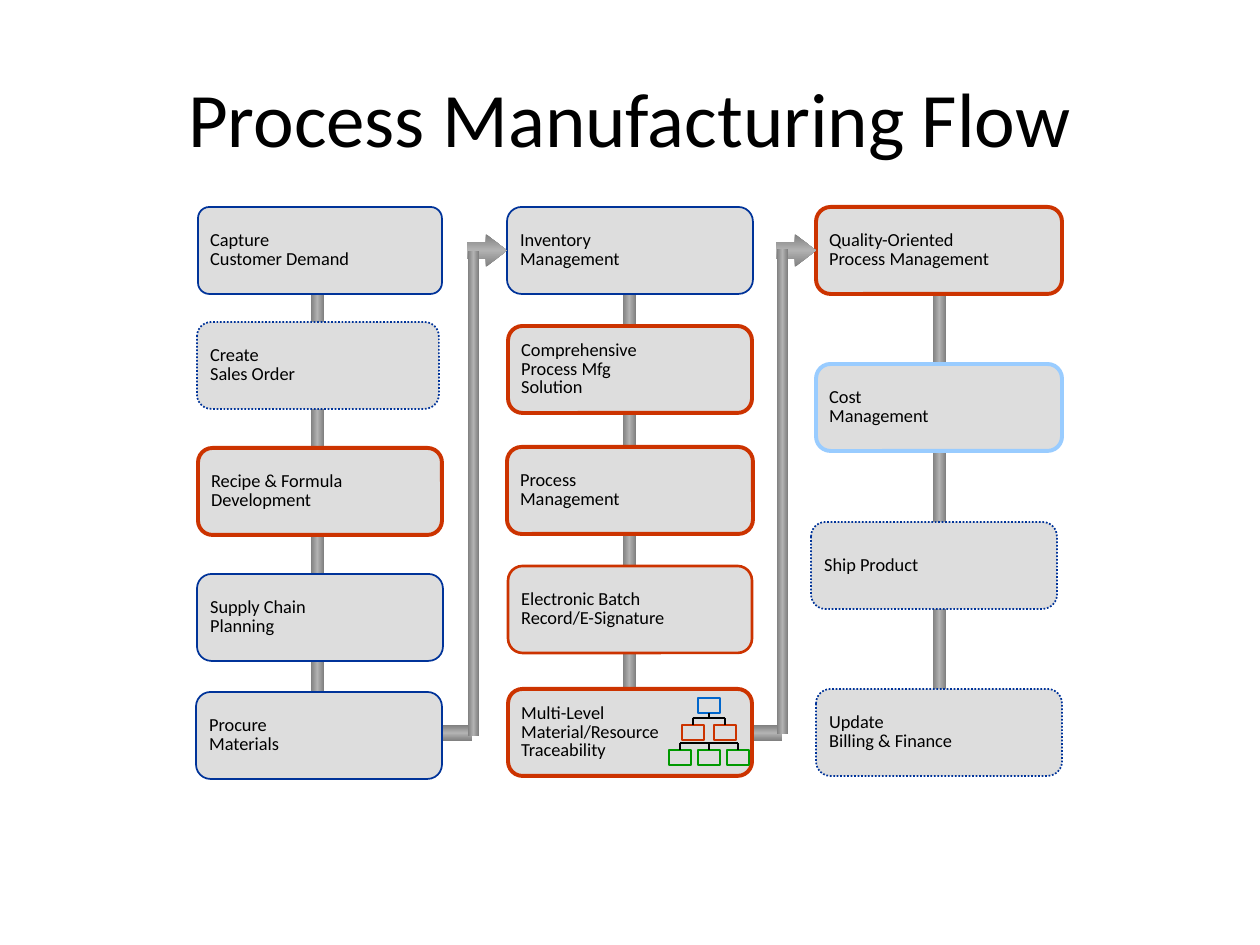
from copy import deepcopy

from lxml import etree
from pptx import Presentation
from pptx.dml.color import RGBColor
from pptx.enum.dml import MSO_LINE
from pptx.enum.shapes import MSO_CONNECTOR, MSO_SHAPE
from pptx.enum.text import MSO_ANCHOR, PP_ALIGN
from pptx.oxml.ns import qn
from pptx.util import Pt

RECT, ROUND = MSO_SHAPE.RECTANGLE, MSO_SHAPE.ROUNDED_RECTANGLE
ARROW, LINE = MSO_SHAPE.RIGHT_ARROW, MSO_CONNECTOR.STRAIGHT
MIDDLE, CENTER, LEFT = MSO_ANCHOR.MIDDLE, PP_ALIGN.CENTER, PP_ALIGN.LEFT
SOLID, DOTS = MSO_LINE.SOLID, MSO_LINE.ROUND_DOT
TOP, BOTTOM = 0, 2

BLACK = RGBColor(0x00, 0x00, 0x00)
PALE = RGBColor(0xDD, 0xDD, 0xDD)
DARK = RGBColor(0x7F, 0x7F, 0x7F)
LIGHT = RGBColor(0xB2, 0xB2, 0xB2)
NAVY = RGBColor(0x00, 0x33, 0x99)
RED = RGBColor(0xCC, 0x33, 0x00)
SKY = RGBColor(0x99, 0xCC, 0xFF)
BLUE = RGBColor(0x00, 0x66, 0xCC)
GREEN = RGBColor(0x00, 0x99, 0x00)

SCALE = 914400 / 126
FONT = "Calibri"
STEP_H = 87

# Outline styles: colour, points, dash
PLAIN = (NAVY, 1, SOLID)
DOTTED = (NAVY, 1, DOTS)
BOLD = (RED, 2.25, SOLID)
MEDIUM = (RED, 1.5, SOLID)
COST = (SKY, 2.25, SOLID)

# Steps: left, top, width, outline, text (\v breaks a line, \n a paragraph)
STEPS = [
    (198, 207, 244, PLAIN, "Capture\nCustomer Demand"),
    (197, 322, 242, DOTTED, "Create\nSales Order"),
    (198, 448, 244, BOLD, "Recipe & Formula\vDevelopment"),
    (197, 574, 246, PLAIN, "Supply Chain\vPlanning"),
    (196, 692, 246, PLAIN, "Procure\nMaterials"),
    (507, 207, 246, PLAIN, "Inventory\vManagement"),
    (508, 326, 244, BOLD, "Comprehensive\vProcess Mfg\vSolution"),
    (507, 447, 246, BOLD, "Process\vManagement"),
    (508, 566, 244, MEDIUM, "Electronic Batch\vRecord/E-Signature"),
    (508, 689, 244, BOLD, "Multi-Level\vMaterial/Resource\vTraceability"),
    (816, 207, 246, BOLD, "Quality-Oriented\vProcess Management"),
    (816, 364, 246, COST, "Cost\vManagement"),
    (811, 522, 246, DOTTED, "Ship Product"),
    (816, 689, 246, DOTTED, "Update\nBilling & Finance"),
]
SPINES = [(311, 280), (623, 272), (933, 272)]
# Links between columns: run left, riser left, riser top
LINKS = [(383, 467, 251), (693, 776, 249)]
# Tree tiers below the root: bus y, box top, box centres, colour
TIERS = [(718, 725, (693, 725), RED), (743, 750, (680, 709, 738), GREEN)]


def px(*vals):
    return [round(val * SCALE) for val in vals]


def set_all(item, vals):
    for key, val in vals.items():
        setattr(item, key, val)


def add_shape(slide, kind, left, top, width, height):
    shape = slide.shapes.add_shape(kind, *px(left, top, width, height))
    shape.shadow.inherit = False
    return shape


def add_box(slide, kind, area, color, points, dash=SOLID):
    box = add_shape(slide, kind, *area)
    box.fill.solid()
    box.fill.fore_color.rgb = PALE
    box.line.color.rgb = color
    set_all(box.line, {"width": Pt(points), "dash_style": dash})
    return box


def add_pipe(slide, kind, area, angle):
    pipe = add_shape(slide, kind, *area)
    pipe.line.fill.background()
    pipe.fill.gradient()
    pipe.fill.gradient_angle = angle
    stops = pipe._element.spPr.find(".//" + qn("a:gsLst"))
    stops.append(deepcopy(stops[0]))
    tones = [(0, DARK), (0.5, LIGHT), (1, DARK)]
    for stop, (pos, color) in zip(pipe.fill.gradient_stops, tones):
        stop.position = pos
        stop.color.rgb = color
    return pipe


def add_text(shape, text, size, align, wrap, gap):
    frame = shape.text_frame
    frame.text = text
    set_all(frame, {"word_wrap": wrap, "vertical_anchor": MIDDLE})
    for para in frame.paragraphs:
        set_all(para, {"alignment": align, "line_spacing": gap})
        set_all(para.font, {"name": FONT, "size": Pt(size)})
        para.font.color.rgb = BLACK
    return frame


def add_step(slide, left, top, width, style, text):
    step = add_box(slide, ROUND, (left, top, width, STEP_H), *style)
    frame = add_text(step, text, 10.5, LEFT, False, 0.85)
    side, edge = px(9, 5)
    set_all(frame, {"margin_left": side, "margin_right": side,
                    "margin_top": edge, "margin_bottom": edge})
    return step


def add_line(slide, x1, y1, x2, y2):
    line = slide.shapes.add_connector(LINE, *px(x1, y1, x2, y2))
    line.line.color.rgb = BLACK
    line.line.width = Pt(1)
    etree.SubElement(line._element.spPr, qn("a:effectLst"))
    return line


def add_node(slide, mid, top, color):
    return add_box(slide, RECT, (mid - 11, top, 22, 15), color, 0.75)


def add_tree(slide):
    root = add_node(slide, 709, 698, BLUE)
    stem = add_line(slide, 709, 713, 709, TIERS[0][0])
    stem.begin_connect(root, BOTTOM)
    for bus, top, mids, color in TIERS:
        add_line(slide, mids[0], bus, mids[-1], bus)
        for mid in mids:
            node = add_node(slide, mid, top, color)
            drop = add_line(slide, mid, bus, mid, top)
            drop.end_connect(node, TOP)


def main():
    prs = Presentation()
    prs.slide_width, prs.slide_height = px(1260, 945)
    slide = prs.slides.add_slide(prs.slide_layouts[6])

    # Title
    title = slide.shapes.add_textbox(*px(63, 38, 1134, 158))
    add_text(title, "Process Manufacturing Flow", 44, CENTER, True, 1)

    # Pipes behind the steps
    for left, top in SPINES:
        add_pipe(slide, RECT, (left, top, 13, 425), 0)
    for run, _, _ in LINKS:
        add_pipe(slide, RECT, (run, 725, 89, 16), 90)

    # Steps
    for step in STEPS:
        shape = add_step(slide, *step)
        if step is STEPS[0]:
            shape.adjustments[0] = 0.13

    # Links up to the next column
    for _, left, top in LINKS:
        head = add_pipe(slide, ARROW, (left, 234, 40, 33), 90)
        head.adjustments[1] = 0.64
        add_pipe(slide, RECT, (left + 1, top, 11, 485), 0)

    # Traceability tree
    add_tree(slide)

    prs.save("out.pptx")


if __name__ == "__main__":
    main()
